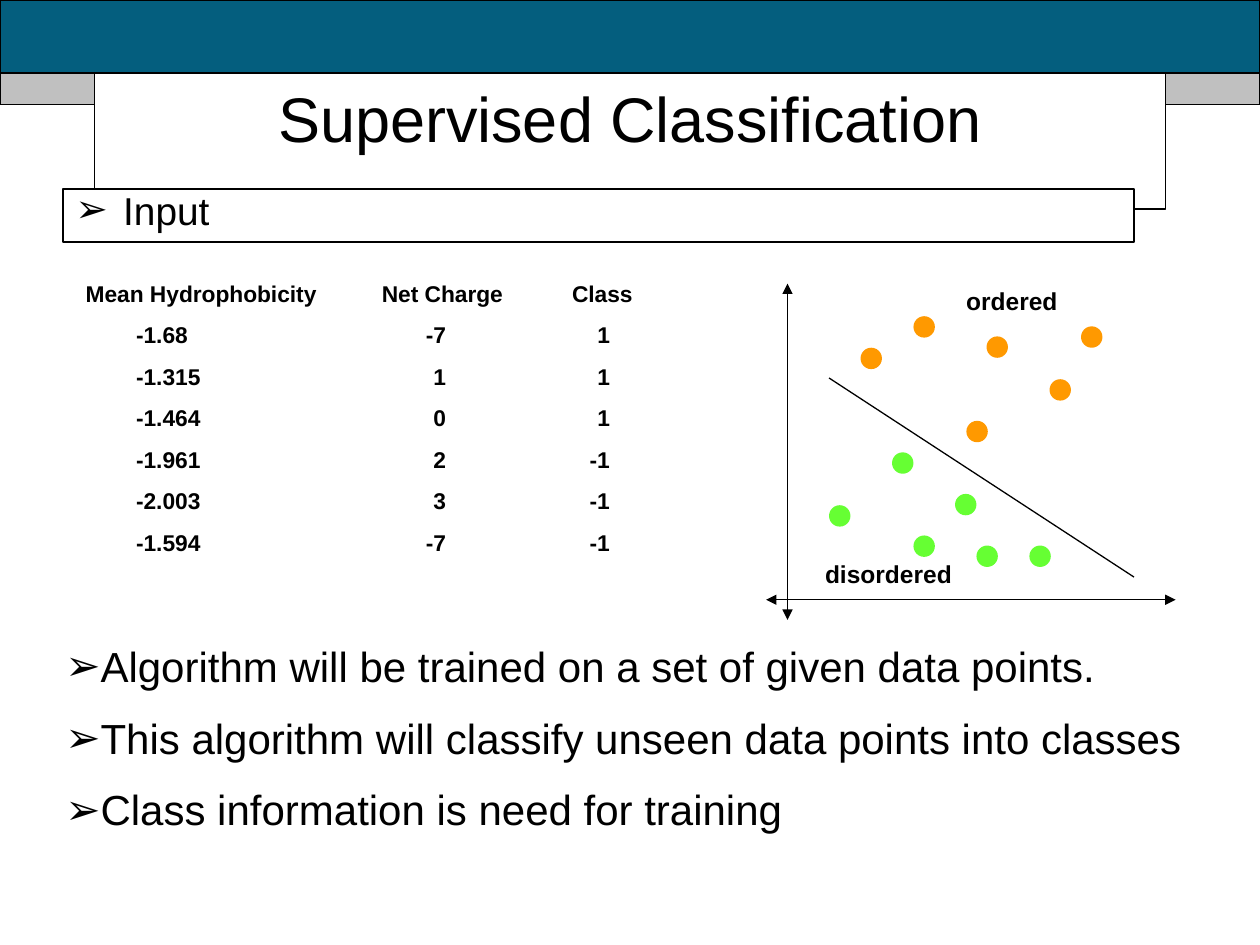
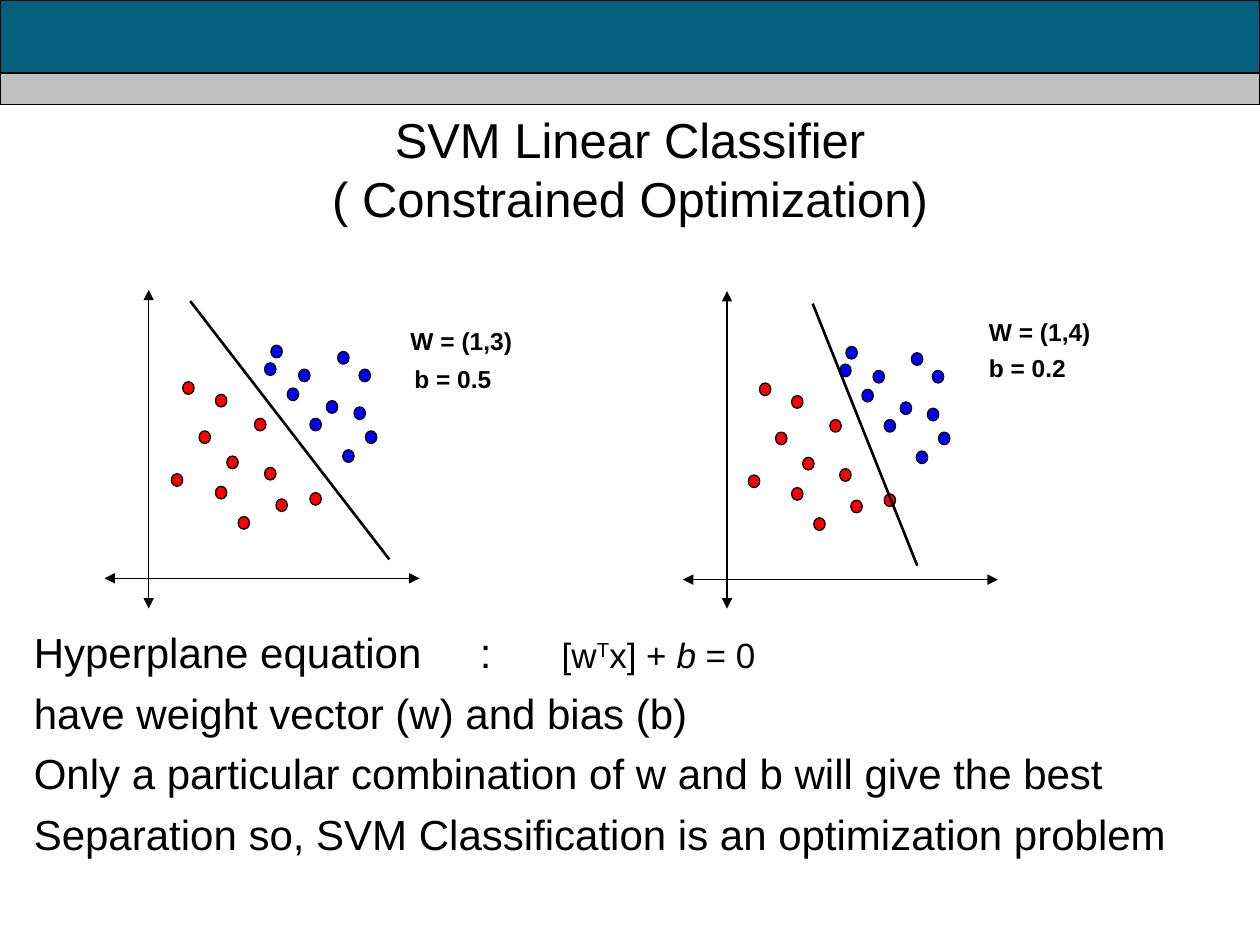
from pptx import Presentation
from pptx.dml.color import RGBColor as Rgb
from pptx.enum.shapes import MSO_CONNECTOR as Conn, MSO_SHAPE as Kind
from pptx.enum.text import MSO_ANCHOR as Anchor, PP_ALIGN as Align
from pptx.oxml.ns import qn
from pptx.util import Inches, Pt
from lxml.etree import SubElement as Sub

COL = {
    "teal": "045E7E", "gray": "C0C0C0", "white": "FFFFFF", "black": "000000",
    "orange": "FF9900", "green": "66FF33", "red": "FF0000", "blue": "0000FF",
}
FONT = {"name": "Arial", "size": 24, "bold": False, "italic": False}
HEAD = {"size": 36}
BOLD = {"size": 14, "bold": True}
CELL = {"size": 13, "bold": True}
MATH = {"size": 20}

ROWS = [
    ("Mean Hydrophobicity", "Net Charge", "Class"),
    ("-1.68", "-7", "1"),
    ("-1.315", "1", "1"),
    ("-1.464", "0", "1"),
    ("-1.961", "2", "-1"),
    ("-2.003", "3", "-1"),
    ("-1.594", "-7", "-1"),
]
# Per column: width, alignment of values, left and right cell margin of values
COLS = [
    (2.35, Align.LEFT, 0.5, 0),
    (1.51, Align.RIGHT, 0, 0.9),
    (0.98, Align.RIGHT, 0, 0.58),
]

# Dot places, from the top left of their plot
ORDERED = [(0.75, 0.51), (1.17, 0.26), (1.59, 1.09), (1.75, 0.42),
           (2.25, 0.76), (2.5, 0.34)]
MIXED = [(0.5, 1.76), (1, 1.34), (1.67, 2.08), (1.5, 1.67),
         (2.09, 2.08), (1.17, 2)]
REDS = [(0.62, 0.73), (0.75, 1.12), (0.88, 0.83), (0.53, 1.46),
        (0.97, 1.32), (1.27, 1.41), (0.88, 1.56), (1.19, 1.02),
        (1.36, 1.66), (1.06, 1.8), (1.63, 1.61)]
BLUES = [(1.27, 0.58), (1.85, 0.49), (1.45, 0.78), (1.32, 0.44),
         (1.76, 0.88), (1.54, 0.63), (1.63, 1.02), (1.98, 0.93),
         (1.89, 1.27), (2.07, 1.12), (2.02, 0.63)]


def style(run, form):
    for key, val in {**FONT, **form}.items():
        setattr(run.font, key, Pt(val) if key == "size" else val)
    run.font.color.rgb = Rgb.from_string(COL["black"])


def shape(slide, kind, box, fill, line="black"):
    item = slide.shapes.add_shape(kind, *map(Inches, box))
    item.shadow.inherit = False
    item.fill.solid()
    item.fill.fore_color.rgb = Rgb.from_string(COL[fill])
    if line:
        item.line.color.rgb = Rgb.from_string(COL[line])
        item.line.width = Pt(0.75)
    else:
        item.line.fill.background()
    return item


def link(slide, start, end, width=0.75, heads=False):
    item = slide.shapes.add_connector(
        Conn.STRAIGHT, *map(Inches, (*start, *end)))
    item.line.color.rgb = Rgb.from_string(COL["black"])
    item.line.width = Pt(width)
    if heads:
        for tag in ("a:headEnd", "a:tailEnd"):
            Sub(item.line._get_or_add_ln(), qn(tag), type="triangle")
    Sub(item._element.spPr, qn("a:effectLst"))


def bullet(para, hang):
    prop = para._p.get_or_add_pPr()
    prop.set("marL", str(Inches(hang)))
    prop.set("indent", str(-Inches(hang)))
    Sub(prop, qn("a:buFont"), typeface="Arial")
    Sub(prop, qn("a:buChar"), char="➢")


def tabs(para, stops):
    group = Sub(para._p.get_or_add_pPr(), qn("a:tabLst"))
    for stop in stops:
        Sub(group, qn("a:tab"), pos=str(Inches(stop)), algn="l")


def write(item, lines, form, align=Align.LEFT, anchor=Anchor.TOP,
          gap=0, pitch=None, hang=None):
    """Fill a shape with paragraphs; a line is a string or (text, form) runs."""
    frame = item.text_frame
    frame.word_wrap = True
    frame.vertical_anchor = anchor
    for num, line in enumerate(lines):
        para = frame.add_paragraph() if num else frame.paragraphs[0]
        if hang is not None:
            bullet(para, hang)
        para.alignment = align
        para.line_spacing = pitch
        para.space_before = Pt(gap if num else 0)
        for text, more in [(line, {})] if isinstance(line, str) else line:
            run = para.add_run()
            run.text = text
            style(run, {**form, **more})
    return frame


def text(slide, box, lines, form, **opts):
    item = slide.shapes.add_textbox(*map(Inches, box))
    return write(item, lines, form, **opts)


def page(deck):
    slide = deck.slides.add_slide(deck.slide_layouts[6])
    # Top bands
    shape(slide, Kind.RECTANGLE, (0, 0, 10, 0.83), "teal")
    shape(slide, Kind.RECTANGLE, (0, 0.58, 10, 0.25), "gray")
    return slide


def plot(slide, box, cross, groups, split, dot, line, thick, scale=1):
    """Axes meeting at cross, coloured dots and a dividing line in the box."""
    left, top, wide, high = box
    over, down = cross
    link(slide, (left + over, top), (left + over, top + high), heads=True)
    link(slide, (left, top + down), (left + wide, top + down), heads=True)
    for tone, spots in groups.items():
        for x, y in spots:
            shape(slide, Kind.OVAL, (left + x * scale, top + y, *dot),
                  tone, line)
    ends = [(left + x, top + y) for x, y in split]
    link(slide, *ends, width=thick)


def label(slide, box, words, spot):
    place = (box[0] + spot[0], box[1] + spot[1], 1.5, 0.34)
    text(slide, place, [words], BOLD)


def grid(slide, left, top, pitch):
    wide = sum(col[0] for col in COLS)
    item = slide.shapes.add_table(
        len(ROWS), len(COLS), Inches(left), Inches(top),
        Inches(wide), Inches(pitch * len(ROWS)))
    table = item.table
    table.first_row = table.horz_banding = False
    for num, (size, *_) in enumerate(COLS):
        table.columns[num].width = Inches(size)
    for r, row in enumerate(ROWS):
        for c, word in enumerate(row):
            _, align, near, far = COLS[c]
            if r == 0:
                align, near, far = Align.LEFT, 0.1, 0
            cell = table.cell(r, c)
            form = {"margin_left": Inches(near), "margin_right": Inches(far),
                    "margin_top": 0, "margin_bottom": 0,
                    "vertical_anchor": Anchor.MIDDLE}
            for key, val in form.items():
                setattr(cell, key, val)
            for tag in ("a:lnL", "a:lnR", "a:lnT", "a:lnB"):
                edge = Sub(cell._tc.get_or_add_tcPr(), qn(tag), w="0")
                Sub(edge, qn("a:noFill"))
            cell.fill.background()
            para = cell.text_frame.paragraphs[0]
            para.alignment = align
            run = para.add_run()
            run.text = word
            style(run, CELL)


def learn(deck):
    slide = page(deck)
    # Title and input boxes
    item = shape(slide, Kind.RECTANGLE, (0.75, 0.58, 8.5, 1.08), "white")
    write(item, ["Supervised Classification"], HEAD, align=Align.CENTER)
    item = shape(slide, Kind.RECTANGLE, (0.5, 1.5, 8.5, 0.42), "white")
    write(item, ["Input"], {"size": 22.2}, pitch=0.8, hang=0.38)
    # Training data
    grid(slide, 0.58, 2.17, 0.33)
    # Scatter of both classes
    box = (6.08, 2.25, 3.25, 2.67)
    plot(slide, box, (0.17, 2.51), {"orange": ORDERED, "green": MIXED},
         [(0.5, 0.75), (2.92, 2.33)], (0.17, 0.17), None, 0.75)
    label(slide, box, "ordered", (1.49, -0.03))
    label(slide, box, "disordered", (0.37, 2.14))
    # Key points
    text(slide, (0.42, 5.08, 9.42, 1.6), [
        "Algorithm will be trained on a set of given data points.",
        "This algorithm will classify unseen data points into classes",
        "Class information is need for training",
    ], {}, gap=15, pitch=0.9, hang=0)


def solve(deck):
    slide = page(deck)
    # Title
    text(slide, (0.75, 0.67, 8.5, 1.33),
         ["SVM Linear Classifier", "( Constrained Optimization)"],
         {"size": 28}, align=Align.CENTER, anchor=Anchor.MIDDLE)
    # Two candidate planes: box, scale, line ends, labels with places
    cases = [
        ((0.83, 2.3, 2.5, 2.53), 1, [(0.68, 0.09), (2.26, 2.14)],
         {"W = (1,3)": (2.33, 0.24), "b = 0.5": (2.36, 0.54)}),
        ((5.42, 2.31, 2.5, 2.52), 0.98, [(1.03, 0.1), (1.86, 2.18)],
         {"W = (1,4)": (2.33, 0.16), "b = 0.2": (2.33, 0.44)}),
    ]
    for box, scale, split, notes in cases:
        plot(slide, box, (0.35, 2.29), {"red": REDS, "blue": BLUES},
             split, (0.09, 0.1), "black", 1.5, scale)
        for words, spot in notes.items():
            label(slide, box, words, spot)
    # Hyperplane notes
    frame = text(slide, (0.17, 4.92, 9.3, 1.95), [
        [("Hyperplane equation\t:\t", {}), ("[w", MATH), ("T", MATH),
         ("x] + ", MATH), ("b", {**MATH, "italic": True}), (" = 0", MATH)],
        "have weight vector (w) and bias (b)",
        "Only a particular combination of w and b will give the best",
        "Separation so, SVM Classification is an optimization problem",
    ], {}, gap=6)
    first = frame.paragraphs[0]
    tabs(first, (3.54, 4.19))
    first.runs[2].font._element.set("baseline", "30000")


def main():
    deck = Presentation()
    deck.slide_width, deck.slide_height = Inches(10), Inches(7.5)
    learn(deck)
    solve(deck)
    deck.save("out.pptx")


if __name__ == "__main__":
    main()
